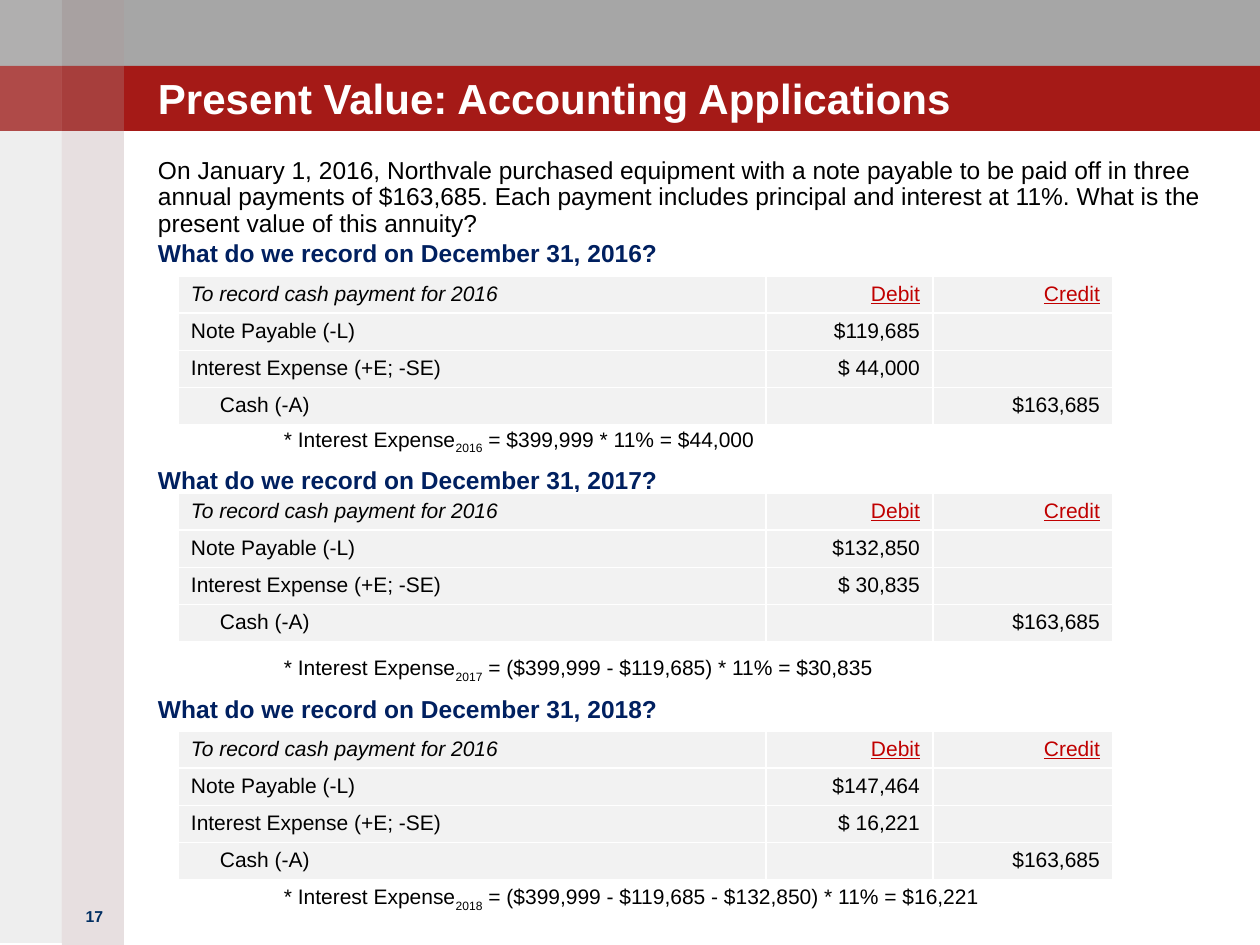
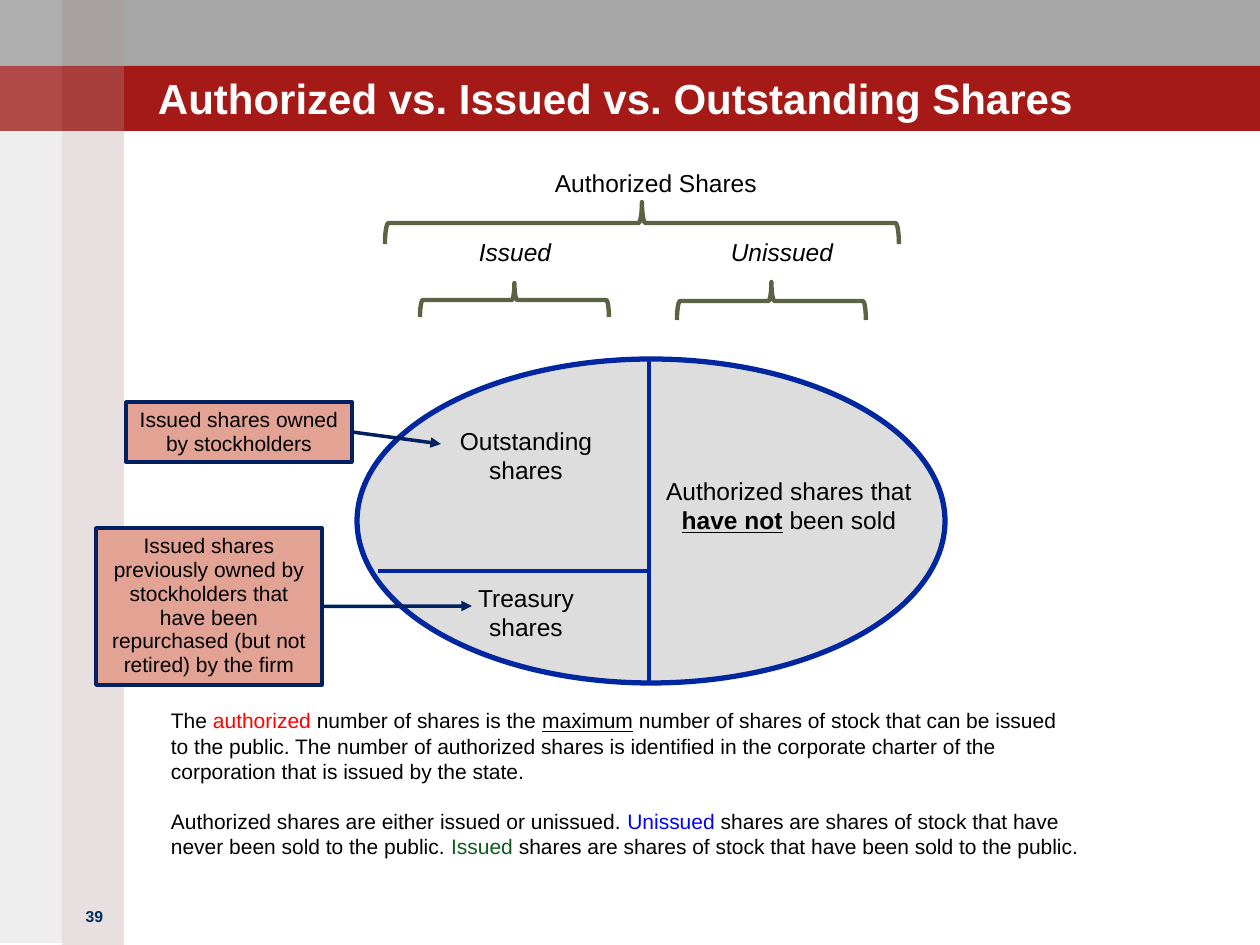
import pptx
import pptx.util
import pptx.dml.color
import pptx.enum.shapes
import pptx.enum.text
import pptx.oxml.ns
from lxml import etree

MSO = pptx.enum.shapes.MSO_SHAPE
ALIGN = pptx.enum.text.PP_ALIGN
ANCHOR = pptx.enum.text.MSO_ANCHOR
EMU_PER_PX = 914400 / 126
FONT = "Arial"
BLACK, WHITE, NAVY, BLUE = "000000", "FFFFFF", "002060", "00279F"
CRIMSON, CELL_GREY, OLIVE, SALMON = "C00000", "F2F2F2", "5A6343", "E2A294"

# Shared bands: x, y, width, height, colour, opacity in percent
BANDS = [
    (0, 0, 1260, 66, "A6A6A6", 100),
    (0, 66, 1260, 65, "A51A17", 100),
    (62, 0, 62, 945, "A08284", 25),
    (0, 0, 62, 943, "938F8F", 15),
    (62, 0, 62, 66, WHITE, 5),
    (0, 0, 62, 66, WHITE, 15),
    (62, 66, 62, 65, WHITE, 5),
    (0, 66, 62, 65, WHITE, 15),
]

# Slide 17: journal entries
INTRO = ("On January 1, 2016, Northvale purchased equipment with a note payable "
         "to be paid off in three annual payments of $163,685. Each payment "
         "includes principal and interest at 11%. What is the present value of "
         "this annuity?")
PAYMENT = "$163,685"
# year, principal, interest, calculation, then tops of heading, table and note
ENTRIES = [
    ("2016", "$119,685", "$ 44,000", " = $399,999 * 11% = $44,000",
     238, 276, 426),
    ("2017", "$132,850", "$ 30,835",
     " = ($399,999 - $119,685) * 11% = $30,835", 465, 493, 655),
    ("2018", "$147,464", "$ 16,221",
     " = ($399,999 - $119,685 - $132,850) * 11% = $16,221", 694, 731, 884),
]
COLUMN_WIDTHS, ROW_HEIGHT = (588, 167, 180), 36
CASH_INDENT = 42

# Slide 39: share classes
LABELS = [  # text, box, italic
    ("Authorized Shares", (456, 168, 400, 30), False),
    ("Issued", (415, 237, 200, 30), True),
    ("Unissued", (682, 237, 200, 30), True),
]
BRACES = [(385, 202, 514, 42), (420, 283, 189, 34), (677, 282, 189, 38)]
OVAL = (357, 359, 588, 324)
DIVIDERS = [((649, 359), (649, 683)), ((649, 571), (378, 571))]
REGIONS = [
    (["Outstanding shares"], (441, 420, 170, 72)),
    (["Authorized shares that ", ("have not", {"bold": True, "underline": True}),
      " been sold"], (651, 470, 276, 72)),
    (["Treasury shares"], (441, 577, 170, 72)),
]
CALLOUTS = [  # text, box, arrow tip
    ("Issued shares owned by stockholders", (126, 402, 226, 60), (441, 444)),
    ("Issued shares previously owned by stockholders that have been "
     "repurchased (but not retired) by the firm", (96, 528, 226, 157), (472, 606)),
]
EXPLANATION = [
    ["The ", ("authorized", {"color": "FF0000"}), " number of shares is the ",
     ("maximum", {"underline": True}),
     " number of shares of stock that can be issued to the public. The number of "
     "authorized shares is identified in the corporate charter of the corporation "
     "that is issued by the state."],
    ["Authorized shares are either issued or unissued. ",
     ("Unissued", {"color": "0000FF"}),
     " shares are shares of stock that have never been sold to the public. ",
     ("Issued", {"color": "0C5C1B"}),
     " shares are shares of stock that have been sold to the public."],
]


def px(*lengths):
    return [pptx.util.Emu(round(n * EMU_PER_PX)) for n in lengths]


def rgb(value):
    return pptx.dml.color.RGBColor.from_string(value)


def style(font, color=None, **options):
    for name, value in options.items():
        setattr(font, name, value)
    if color:
        font.color.rgb = rgb(color)


def write(p, runs, size, color=BLACK, align=ALIGN.LEFT, **options):
    """Fill a paragraph; a run is a string or a (text, overrides) pair."""
    p.alignment = align
    style(p.font, color, name=FONT, size=pptx.util.Pt(size), **options)
    for run in runs:
        text, extra = (run, {}) if isinstance(run, str) else run
        extra = dict(extra)
        baseline = extra.pop("baseline", None)
        r = p.add_run()
        r.text = text
        style(r.font, **extra)
        if baseline:
            r._r.get_or_add_rPr().set("baseline", str(baseline))


def set_frame(tf, inset, anchor=ANCHOR.TOP):
    tf.word_wrap = True
    tf.vertical_anchor = anchor
    side, top = px(13, 6) if inset else (0, 0)
    tf.margin_left = tf.margin_right = side
    tf.margin_top = tf.margin_bottom = top


def add_text(slide, box, paragraphs, size, inset=False, anchor=ANCHOR.TOP,
             spacing=None, gap=0, **options):
    tf = slide.shapes.add_textbox(*px(*box)).text_frame
    set_frame(tf, inset, anchor)
    for i, runs in enumerate(paragraphs):
        p = tf.add_paragraph() if i else tf.paragraphs[0]
        if spacing:
            p.line_spacing = spacing
        if i and gap:
            p.space_before = pptx.util.Pt(gap)
        write(p, runs, size, **options)


def add_shape(slide, kind, box, fill=None, line=None, width=0, opacity=100):
    sp = slide.shapes.add_shape(kind, *px(*box))
    sp.shadow.inherit = False
    if fill:
        sp.fill.solid()
        sp.fill.fore_color.rgb = rgb(fill)
        if opacity < 100:
            clr = sp._element.spPr.find(".//" + pptx.oxml.ns.qn("a:srgbClr"))
            etree.SubElement(clr, pptx.oxml.ns.qn("a:alpha"),
                             val=str(opacity * 1000))
    else:
        sp.fill.background()
    if line:
        sp.line.color.rgb = rgb(line)
        sp.line.width = pptx.util.Pt(width)
    else:
        sp.line.fill.background()
    return sp


def add_line(slide, start, end, color, arrow=False):
    cx = slide.shapes.add_connector(
        pptx.enum.shapes.MSO_CONNECTOR.STRAIGHT, *px(*start, *end))
    cx.line.color.rgb = rgb(color)
    cx.line.width = pptx.util.Pt(2)
    if arrow:
        etree.SubElement(cx.line._get_or_add_ln(),
                         pptx.oxml.ns.qn("a:tailEnd"), type="triangle")
    etree.SubElement(cx._element.spPr, pptx.oxml.ns.qn("a:effectLst"))
    return cx


def add_brace(slide, x, y, w, h):
    """Upward brace filling the box: a right brace turned a quarter left."""
    box = (x + (w - h) / 2, y + (h - w) / 2, h, w)
    add_shape(slide, MSO.RIGHT_BRACE, box, line=OLIVE, width=2.5).rotation = 270


def new_slide(prs, title, number):
    slide = prs.slides.add_slide(prs.slide_layouts[6])
    for *box, color, opacity in BANDS:
        add_shape(slide, MSO.RECTANGLE, box, color, opacity=opacity)
    add_text(slide, (63, 901, 63, 40), [[number]], 9, inset=True,
             color="002E62", align=ALIGN.CENTER, bold=True)
    add_text(slide, (158, 39, 1050, 84), [[title]], 24, anchor=ANCHOR.BOTTOM,
             color=WHITE, bold=True)
    return slide


def add_journal(slide, top, principal, interest):
    rows = [
        ("To record cash payment for 2016", "Debit", "Credit"),
        ("Note Payable (-L)", principal, ""),
        ("Interest Expense (+E; -SE)", interest, ""),
        ("Cash (-A)", "", PAYMENT),
    ]
    table = slide.shapes.add_table(
        len(rows), len(COLUMN_WIDTHS),
        *px(178, top, sum(COLUMN_WIDTHS), ROW_HEIGHT * len(rows))).table
    table.first_row = table.horz_banding = False
    for column, width in zip(table.columns, px(*COLUMN_WIDTHS)):
        column.width = width
    for i, row in enumerate(rows):
        for j, text in enumerate(row):
            cell = table.cell(i, j)
            cell.fill.solid()
            cell.fill.fore_color.rgb = rgb(CELL_GREY)
            cell.margin_left, cell.margin_right = px(13, 13)
            cell.margin_top, cell.margin_bottom = px(6, 6)
            heading = i == 0 and j > 0
            write(cell.text_frame.paragraphs[0], [text] if text else [], 12,
                  color=CRIMSON if heading else BLACK,
                  align=ALIGN.RIGHT if j else ALIGN.LEFT,
                  italic=i == 0 and j == 0, underline=heading)
    table.cell(len(rows) - 1, 0).margin_left = px(CASH_INDENT)[0]


def build_journal_slide(prs):
    slide = new_slide(prs, "Present Value: Accounting Applications", "17")
    add_text(slide, (158, 158, 1050, 80), [[INTRO]], 14, spacing=0.9)
    for year, principal, interest, calculation, head, top, note in ENTRIES:
        add_text(slide, (158, head, 1050, 30),
                 [[f"What do we record on December 31, {year}?"]], 14,
                 color=NAVY, bold=True)
        add_journal(slide, top, principal, interest)
        add_text(slide, (284, note, 920, 30),
                 [["* Interest Expense", (year, {"baseline": -25000}),
                   calculation]], 12)


def build_shares_slide(prs):
    slide = new_slide(prs, "Authorized vs. Issued vs. Outstanding Shares", "39")
    for text, box, italic in LABELS:
        add_text(slide, box, [[text]], 14, align=ALIGN.CENTER, italic=italic)
    for box in BRACES:
        add_brace(slide, *box)

    # Oval divided into three regions
    add_shape(slide, MSO.OVAL, OVAL, "DDDDDD", BLUE, 3)
    for start, end in DIVIDERS:
        add_line(slide, start, end, BLUE)
    for runs, box in REGIONS:
        add_text(slide, box, [runs], 14, inset=True, align=ALIGN.CENTER)

    # Callouts with arrows into the oval
    for text, box, tip in CALLOUTS:
        sp = add_shape(slide, MSO.RECTANGLE, box, SALMON, NAVY, 2)
        set_frame(sp.text_frame, inset=True)
        p = sp.text_frame.paragraphs[0]
        p.line_spacing = 0.95
        write(p, [text], 12, align=ALIGN.CENTER)
        x, y, w, h = box
        add_line(slide, (x + w, y + h / 2), tip, NAVY,
                 arrow=True).begin_connect(sp, 3)

    add_text(slide, (158, 702, 935, 165), EXPLANATION, 12, inset=True, gap=14.4)


def main():
    prs = pptx.Presentation()
    prs.slide_width, prs.slide_height = px(1260, 945)
    build_journal_slide(prs)
    build_shares_slide(prs)
    prs.save("out.pptx")


if __name__ == "__main__":
    main()
